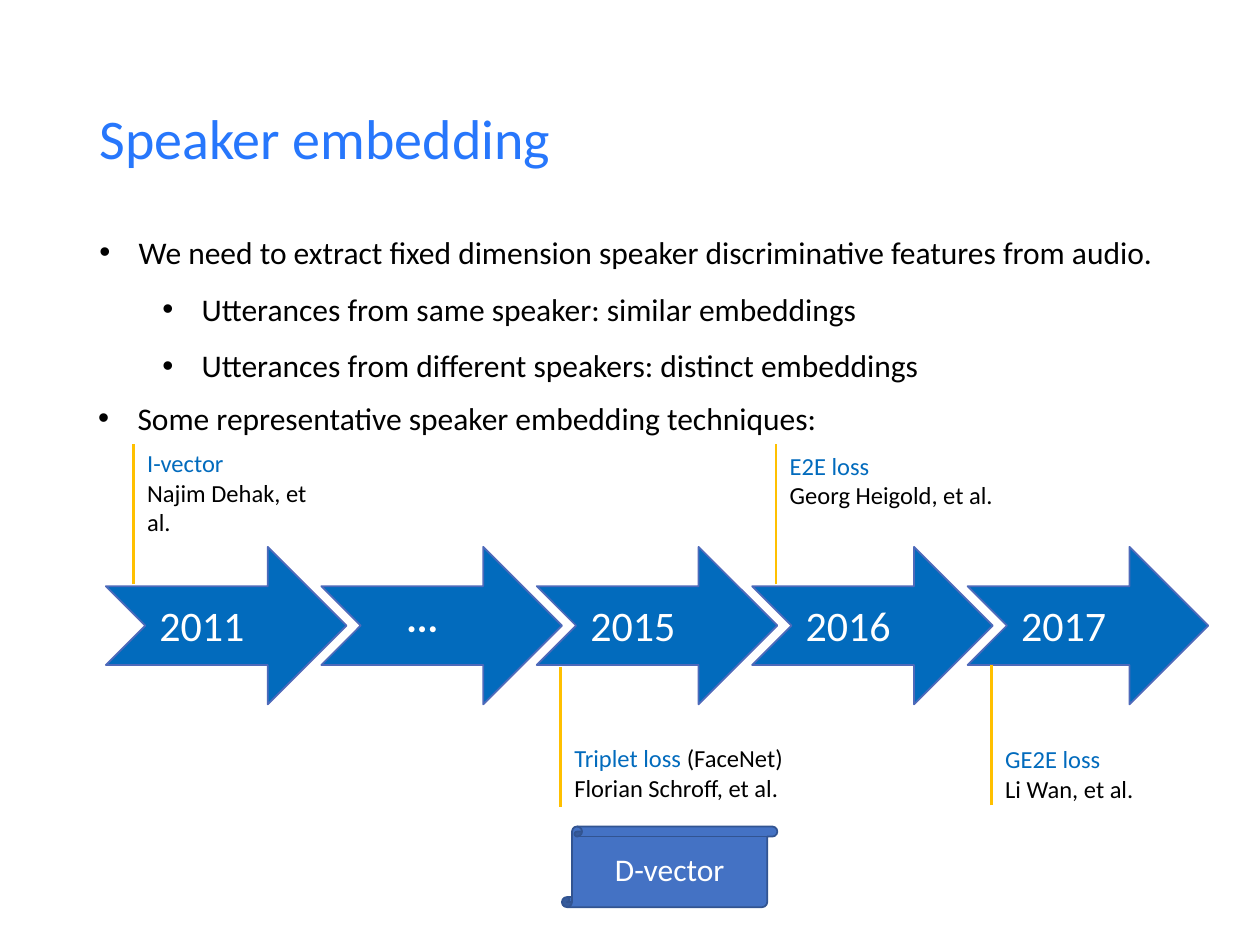
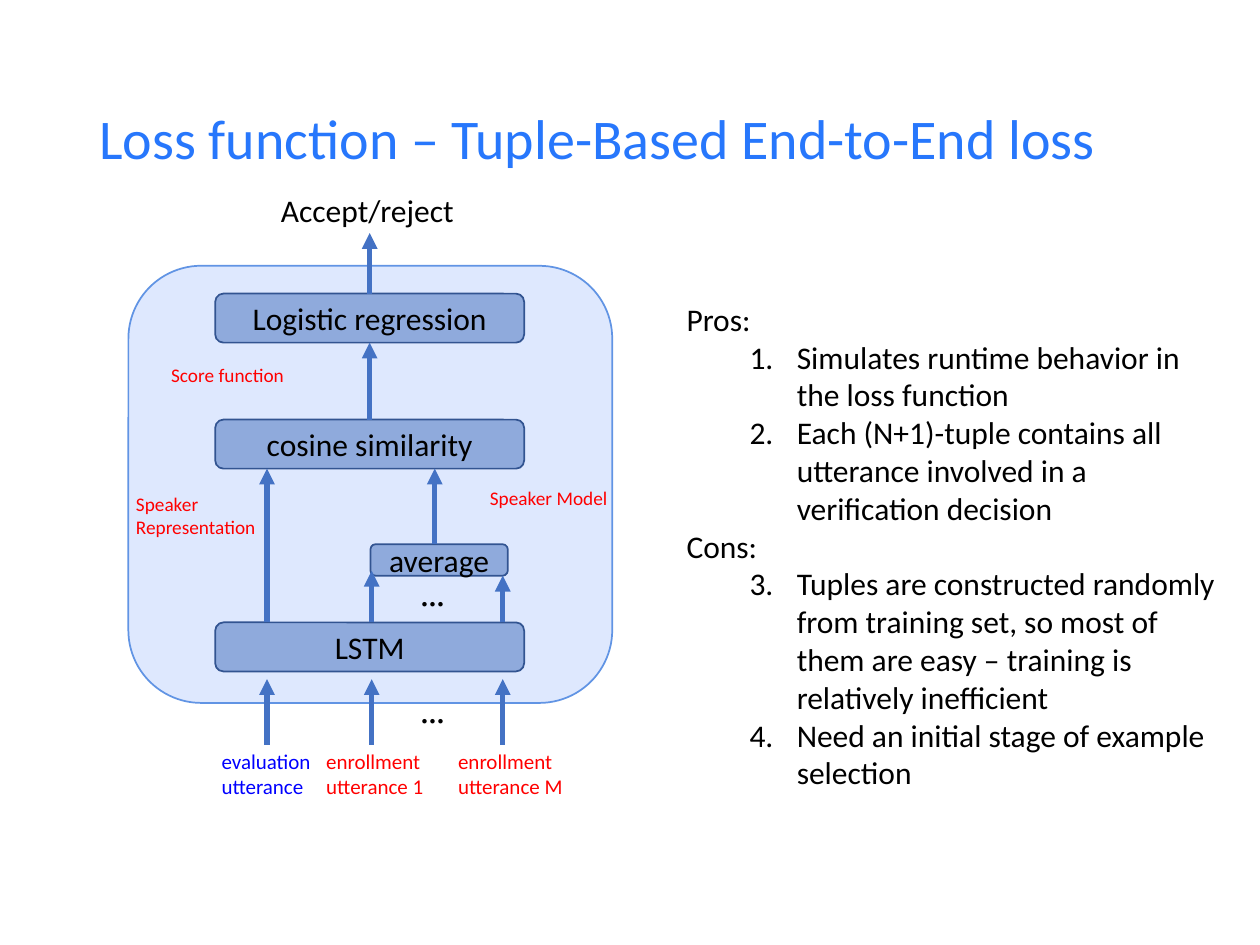
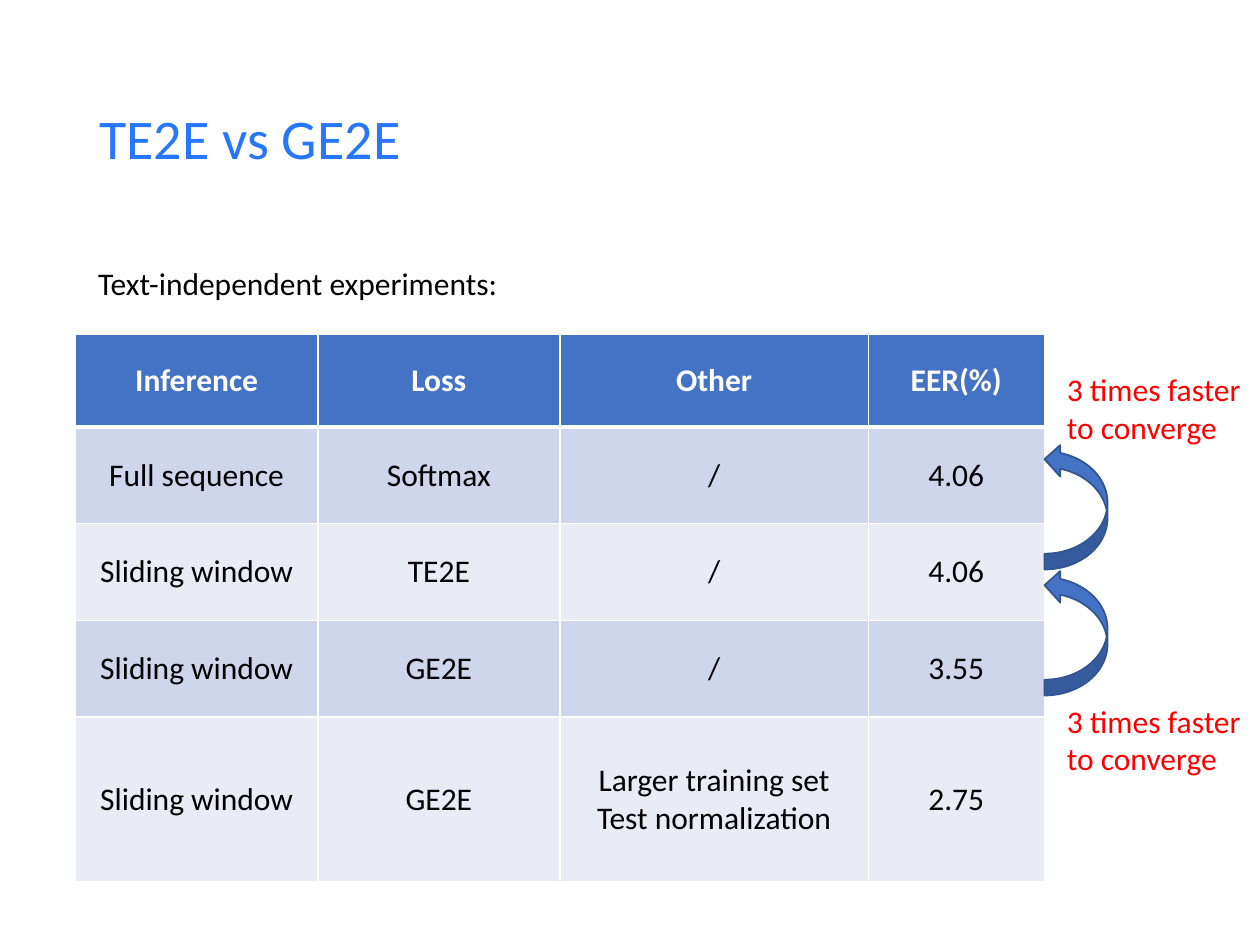
"""Build three slides on speaker embeddings and their loss functions."""
from lxml import etree
from pptx import Presentation
from pptx.dml.color import RGBColor
from pptx.enum.shapes import MSO_CONNECTOR, MSO_SHAPE
from pptx.enum.text import MSO_ANCHOR, PP_ALIGN
from pptx.oxml.ns import qn
from pptx.util import Pt

LINE = MSO_CONNECTOR.STRAIGHT
NOTCH, SCROLL = MSO_SHAPE.NOTCHED_RIGHT_ARROW, MSO_SHAPE.VERTICAL_SCROLL
ROUND, CURVE = MSO_SHAPE.ROUNDED_RECTANGLE, MSO_SHAPE.CURVED_UP_ARROW
MID, TOP = MSO_ANCHOR.MIDDLE, MSO_ANCHOR.TOP
LEFT, MIDST = PP_ALIGN.LEFT, PP_ALIGN.CENTER

FONT = "Calibri"
HEX = {
    "title": "2777FC", "black": "000000", "white": "FFFFFF", "red": "FF0000",
    "blue": "0000FF", "year": "026BBD", "rim": "4E6ABA", "gold": "FFC000",
    "main": "4472C4", "edge": "325491", "panel": "DEE8FE", "frame": "6194E4",
    "block": "8FAADC", "odd": "CFD5EA", "even": "E9EBF5",
}

POINTS = [
    (0, "We need to extract fixed dimension speaker discriminative features from audio."),
    (1, "Utterances from same speaker: similar embeddings"),
    (1, "Utterances from different speakers: distinct embeddings"),
]
LEAD = "Some representative speaker embedding techniques:"
YEARS = ["2011", "···", "2015", "2016", "2017"]
NOTES = [
    (76.3, 254, 252.7, 121, "I-vector", "", "Najim Dehak, et al."),
    (320.4, 381, 421.2, 144.7, "Triplet loss ", "(FaceNet)", "Florian Schroff, et al."),
    (566.6, 380.2, 421.9, 121, "GE2E loss", "", "Li Wan, et al."),
    (443.5, 254, 254.2, 131.8, "E2E loss", "", "Georg Heigold, et al."),
]

BLOCKS = {
    "LSTM": (123, 355.7, 176.5, 28),
    "average": (211.7, 311, 78.5, 18),
    "cosine similarity": (123, 239.8, 176.5, 28),
    "Logistic regression": (123, 167.8, 176.5, 28),
}
LANES = [152.6, 212.4, 287.3]
FLOWS = list(zip(LANES, [355.7] * 3, [267.8, 326.2, 329])) + [(248.4, 311, 267.8)]
LABELS = [
    (233.3, 329, 29.5, "···", 18, "black"),
    (233.3, 396, 29.5, "···", 18, "black"),
    (153.4, 105.8, 126, "Accept/reject", 18, "black"),
    (119.5, 424, 66.2, "evaluation utterance", 12, "blue"),
    (179.3, 424, 73.4, "enrollment utterance 1", 12, "red"),
    (254.7, 424, 80, "enrollment utterance M", 12, "red"),
    (70.6, 277.9, 89.3, "Speaker Representation", 11, "red"),
    (272.9, 274.3, 89.3, "Speaker Model", 11, "red"),
    (90.7, 203.8, 89.3, "Score function", 11, "red"),
]
VIEWS = [
    (0, "Pros:"),
    (1, "Simulates runtime behavior in the loss function"),
    (1, "Each (N+1)-tuple contains all utterance involved in a verification decision"),
    (0, "Cons:"),
    (1, "Tuples are constructed randomly from training set, so most of them are easy"
        " – training is relatively inefficient"),
    (1, "Need an initial stage of example selection"),
]

ROWS = [
    ("Inference", "Loss", "Other", "EER(%)"),
    ("Full sequence", "Softmax", "/", "4.06"),
    ("Sliding window", "TE2E", "/", "4.06"),
    ("Sliding window", "GE2E", "/", "3.55"),
    ("Sliding window", "GE2E", "Larger training set\nTest normalization", "2.75"),
]
WIDTHS = [138.4, 138.4, 176.2, 100.6]
HEIGHTS = [53, 55.3, 55.3, 55.3, 94.3]
FASTER = "3 times faster to converge"


def tint(name):
    return RGBColor.from_string(HEX[name])


def style(para, size, color, align=LEFT, bold=False):
    para.alignment = align
    for run in para.runs:
        font = run.font
        font.name, font.size, font.bold = FONT, Pt(size), bold
        font.color.rgb = tint(color)


def fill(frame, text, size, color, align=LEFT, anchor=TOP):
    frame.word_wrap = True
    frame.vertical_anchor = anchor
    frame.text = text
    for para in frame.paragraphs:
        style(para, size, color, align)


def write(slide, box, text, size=18, color="black", align=LEFT, anchor=TOP):
    frame = slide.shapes.add_textbox(*map(Pt, box)).text_frame
    fill(frame, text, size, color, align, anchor)
    return frame.paragraphs


def mark(para, left, hang, tag, **attrs):
    props = para._p.get_or_add_pPr()
    props.set("marL", str(Pt(left)))
    props.set("indent", str(-Pt(hang)))
    face = etree.SubElement(props, qn("a:buFont"))
    face.set("typeface", "Arial" if tag == "a:buChar" else "+mj-lt")
    etree.SubElement(props, qn(tag), attrs)


def draw(slide, kind, box, color, edge, text=""):
    shape = slide.shapes.add_shape(kind, *map(Pt, box))
    shape.shadow.inherit = False
    shape.fill.solid()
    shape.fill.fore_color.rgb = tint(color)
    shape.line.color.rgb = tint(edge)
    shape.line.width = Pt(1)
    if text:
        ink = "white" if kind == SCROLL else "black"
        fill(shape.text_frame, text, 18, ink, MIDST, MID)
    return shape


def rule(slide, x, start, end, color="main", width=3, head=True):
    line = slide.shapes.add_connector(LINE, Pt(x), Pt(start), Pt(x), Pt(end))
    line.line.color.rgb = tint(color)
    line.line.width = Pt(width)
    if head:
        etree.SubElement(line.line._get_or_add_ln(), qn("a:tailEnd"), type="triangle")
    etree.SubElement(line._element.spPr, qn("a:effectLst"))
    return line


def border(cell, sides):
    props = cell._tc.get_or_add_tcPr()
    for spot, (side, width) in enumerate(sides.items()):
        edge = etree.Element(qn(f"a:ln{side}"), w=str(Pt(width)))
        paint = etree.SubElement(edge, qn("a:solidFill"))
        etree.SubElement(paint, qn("a:srgbClr"), val=HEX["white"])
        props.insert(spot, edge)


def start(deck, title):
    slide = deck.slides.add_slide(deck.slide_layouts[6])
    head = write(slide, (49.7, 28.8, 678.2, 104.4), title, 32, "title", anchor=MID)
    head[0].line_spacing = 0.9
    return slide


def history(deck):
    slide = start(deck, "Speaker embedding")
    text = "\n".join(words for _, words in POINTS)
    paras = write(slide, (49.7, 118.8, 686.9, 102.2), text)
    for para, (level, _) in zip(paras, POINTS):
        para.level = level
        para.line_spacing = 1.5
        mark(para, 22.5 + 36 * level, 22.5, "a:buChar", char="•")
    for i, year in enumerate(YEARS):
        left = 60.5 + 123.1 * i
        draw(slide, NOTCH, (left, 312.5, 137.5, 90), "year", "rim")
        align = LEFT if year.isdigit() else MIDST
        write(slide, (left + 23.5, 339.1, 68.4, 36), year, 24, "white", align)
    for x, top, y, width, name, extra, who in NOTES:
        rule(slide, x, top + 80, top, "gold", 1.5, False)
        head, foot = write(slide, (x + 0.7, y, width, 41), f"{name}\n{who}", 14, "year")
        style(foot, 14, "black")
        if extra:
            head.add_run().text = extra
            style(head, 14, "black")
            head.runs[0].font.color.rgb = tint("year")
    lead = write(slide, (49, 224.6, 430.6, 28.8), LEAD)
    mark(lead[0], 22.5, 22.5, "a:buChar", char="•")
    draw(slide, SCROLL, (321.1, 472.3, 123.1, 46.1), "main", "edge", "D-vector")


def tuples(deck):
    slide = start(deck, "Loss function – Tuple-Based End-to-End loss")
    draw(slide, ROUND, (73.4, 151.9, 276.5, 249.8), "panel", "frame")
    nodes = {name: draw(slide, ROUND, box, "block", "edge", name)
             for name, box in BLOCKS.items()}
    cosine, logit = nodes["cosine similarity"], nodes["Logistic regression"]
    score = rule(slide, 211.25, 239.8, 195.8)
    score.begin_connect(cosine, 0)
    score.end_connect(logit, 2)
    rule(slide, 211.25, 167.8, 133.2).begin_connect(logit, 0)
    for x, low, high in FLOWS + [(x, 425.5, 388.1) for x in LANES]:
        rule(slide, x, low, high)
    for x, y, width, text, size, color in LABELS:
        write(slide, (x, y, width, 2.4 * size), text, size, color)
    text = "\n".join(words for _, words in VIEWS)
    paras = write(slide, (385.2, 167.8, 320.4, 290.9), text)
    for para, (level, _) in zip(paras, VIEWS):
        if level:
            para.level = level
            mark(para, 63, 27, "a:buAutoNum", type="arabicPeriod")


def results(deck):
    slide = start(deck, "TE2E vs GE2E")
    write(slide, (49, 147.6, 308.9, 28.8), "Text-independent experiments:")
    box = (43.2, 191, sum(WIDTHS), sum(HEIGHTS))
    grid = slide.shapes.add_table(len(ROWS), len(WIDTHS), *map(Pt, box)).table
    for col, width in zip(grid.columns, WIDTHS):
        col.width = Pt(width)
    for r, (row, height) in enumerate(zip(ROWS, HEIGHTS)):
        grid.rows[r].height = Pt(height)
        back = "odd" if r % 2 else "even"
        for c, text in enumerate(row):
            cell = grid.cell(r, c)
            cell.text = text
            cell.vertical_anchor = MID
            cell.fill.solid()
            cell.fill.fore_color.rgb = tint(back if r else "main")
            for para in cell.text_frame.paragraphs:
                style(para, 18, "black" if r else "white", MIDST, r == 0)
            border(cell, {"L": 1, "R": 1, "T": 3 if r == 1 else 1, "B": 1 if r else 3})
    for turn, note in ((271.4, 208.1), (343.4, 397.4)):
        draw(slide, CURVE, (578.9, turn, 72, 36), "main", "edge").rotation = 270
        write(slide, (602.6, note, 125.3, 51), FASTER, color="red")


def main():
    deck = Presentation()
    deck.slide_width, deck.slide_height = Pt(720), Pt(540)
    for build in (history, tuples, results):
        build(deck)
    deck.save("out.pptx")


if __name__ == "__main__":
    main()
